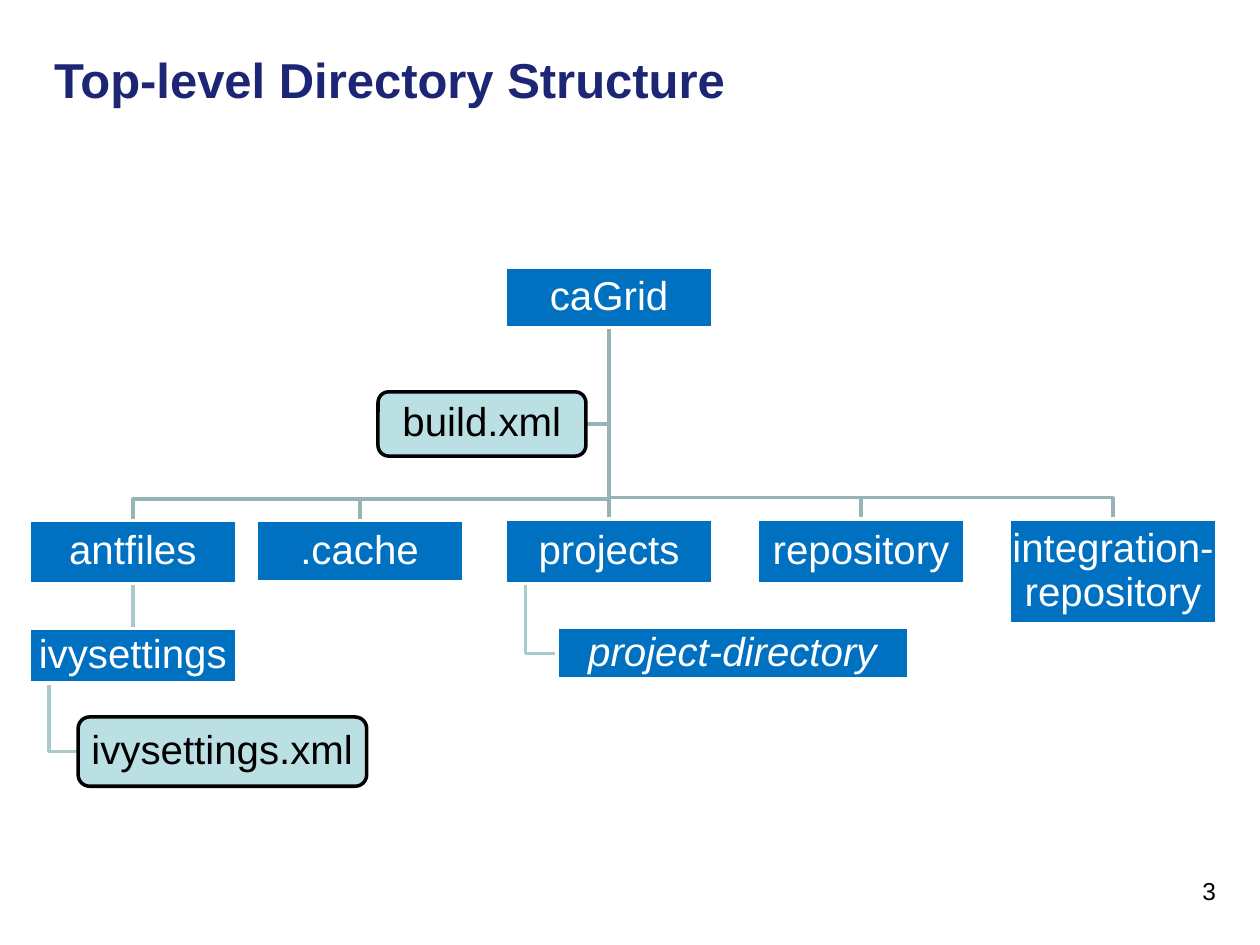
from pptx import Presentation
from pptx.dml.color import RGBColor
from pptx.enum.shapes import MSO_CONNECTOR, MSO_SHAPE
from pptx.enum.text import MSO_ANCHOR, MSO_AUTO_SIZE, PP_ALIGN
from pptx.oxml.ns import qn
from pptx.util import Inches, Pt
from lxml import etree

RECT, ROUND = MSO_SHAPE.RECTANGLE, MSO_SHAPE.ROUNDED_RECTANGLE
LINE = MSO_CONNECTOR.STRAIGHT
LEFT, MID, RIGHT = PP_ALIGN.LEFT, PP_ALIGN.CENTER, PP_ALIGN.RIGHT

NAVY = RGBColor(0x1C, 0x26, 0x74)
BLUE = RGBColor(0x00, 0x70, 0xC0)
AQUA = RGBColor(0xBB, 0xE0, 0xE3)
GREY = RGBColor(0x96, 0xB3, 0xB6)
PALE = RGBColor(0xAA, 0xCB, 0xCE)
WHITE = RGBColor(0xFF, 0xFF, 0xFF)
BLACK = RGBColor(0x00, 0x00, 0x00)

COLS, ROWS = 100, 75  # grid of the slide

# Nodes: left, top, width, height in grid units
WIDE = 16.5
ROOT = (40.1, 21.2, WIDE, 4.8)
BUILD = (30, 31.1, WIDE, 5.1)
ANT = (2.3, 41.3, WIDE, 5)
CACHE = (20.3, 41.3, WIDE, 4.9)
PROJ = (40.1, 41.2, WIDE, 5.1)
REPO = (60.1, 41.2, WIDE, 5.1)
INTEG = (80.1, 41.2, WIDE, 8.3)
IVY = (2.3, 49.9, WIDE, 4.3)
IVYXML = (6.2, 56.9, 22.9, 5.5)
PDIR = (44.2, 49.8, 27.9, 4.1)

FOLDERS = [("caGrid", ROOT), (".cache", CACHE), ("antfiles", ANT),
           ("ivysettings", IVY), ("projects", PROJ), ("repository", REPO),
           ("integration-repository", INTEG)]
FILES = [("ivysettings.xml", IVYXML), ("build.xml", BUILD)]


class Deck:
    font = "Arial"
    stroke = Pt(2)
    drop = 1.7    # height of the last leg of a branch
    indent = 1.6  # offset of a hanging branch

    def __init__(self):
        self.prs = Presentation()
        self.prs.slide_width, self.prs.slide_height = Inches(10), Inches(7.5)
        self.slide = self.prs.slides.add_slide(self.prs.slide_layouts[5])
        self.shapes = self.slide.shapes

    def spot(self, x, y):
        return (round(x * self.prs.slide_width / COLS),
                round(y * self.prs.slide_height / ROWS))

    def area(self, box):
        return (*self.spot(*box[:2]), *self.spot(*box[2:]))

    def label(self, shape, text, size, color, align, bold=False, slant=False):
        frame = shape.text_frame
        frame.text = text
        frame.word_wrap = True
        frame.auto_size = MSO_AUTO_SIZE.NONE
        para = frame.paragraphs[0]
        para.alignment = align
        font = para.font
        font.name, font.size = self.font, Pt(size)
        font.bold, font.italic = bold, slant
        font.color.rgb = color
        return frame

    def title(self, text, box):
        shape = self.shapes.title
        shape.left, shape.top, shape.width, shape.height = self.area(box)
        frame = self.label(shape, text, 28, NAVY, LEFT, bold=True)
        frame.vertical_anchor = MSO_ANCHOR.MIDDLE

    def number(self, text, box):
        shape = self.shapes.add_textbox(*self.area(box))
        self.label(shape, text, 14, BLACK, RIGHT)

    def node(self, text, box, kind=RECT, fill=BLUE, edge=WHITE, ink=WHITE,
             slant=False):
        shape = self.shapes.add_shape(kind, *self.area(box))
        shape.shadow.inherit = False
        shape.fill.solid()
        shape.fill.fore_color.rgb = fill
        shape.line.color.rgb, shape.line.width = edge, self.stroke
        frame = self.label(shape, text, 23, ink, MID, slant=slant)
        frame.vertical_anchor = MSO_ANCHOR.MIDDLE
        frame.margin_left = frame.margin_right = Inches(0.01)
        frame.margin_top = frame.margin_bottom = Inches(0.02)
        frame.paragraphs[0].line_spacing = 0.9

    def wire(self, color, *points):
        spots = [self.spot(*point) for point in points]
        if len(spots) == 2:
            shape = self.shapes.add_connector(LINE, *spots[0], *spots[1])
            props = shape._element.find(qn("p:spPr"))
            etree.SubElement(props, qn("a:effectLst"))
        else:
            pen = self.shapes.build_freeform(*spots[0])
            pen.add_line_segments(spots[1:], close=False)
            shape = pen.convert_to_shape()
            shape.shadow.inherit = False
            shape.fill.background()
        shape.line.color.rgb, shape.line.width = color, self.stroke

    def branch(self, top, kid, color=GREY):
        """Join the foot of a node to the head of one below it."""
        x, y = top[0] + top[2] / 2, top[1] + top[3]
        end = kid[0] + kid[2] / 2
        turn = kid[1] - self.drop
        bend = [] if x == end else [(x, turn), (end, turn)]
        self.wire(color, (x, y), *bend, (end, kid[1]))

    def hang(self, top, kid):
        """Join the foot of a node to the left side of an indented one."""
        x, y = top[0] + self.indent, top[1] + top[3]
        level = kid[1] + kid[3] / 2
        self.wire(PALE, (x, y), (x, level), (kid[0], level))

    def side(self, top, kid):
        """Join the foot of a node to the right side of one beside its stem."""
        x, y = top[0] + top[2] / 2, top[1] + top[3]
        level = kid[1] + kid[3] / 2
        self.wire(GREY, (x, y), (x, level), (kid[0] + kid[2], level))


def main():
    deck = Deck()

    # Title and page number
    deck.title("Top-level Directory Structure", (3.3, 0, 75, 12.5))
    deck.number("3", (74.2, 69, 23.3, 5.2))

    # Branches of the tree
    deck.side(ROOT, BUILD)
    for kid in (INTEG, REPO, PROJ, ANT, CACHE):
        deck.branch(ROOT, kid)
    deck.branch(ANT, IVY, PALE)
    deck.hang(PROJ, PDIR)
    deck.hang(IVY, IVYXML)

    # Folders and files
    for name, box in FOLDERS:
        deck.node(name, box)
    deck.node("project-directory", PDIR, slant=True)
    for name, box in FILES:
        deck.node(name, box, ROUND, AQUA, BLACK, BLACK)

    deck.prs.save("out.pptx")


if __name__ == "__main__":
    main()
